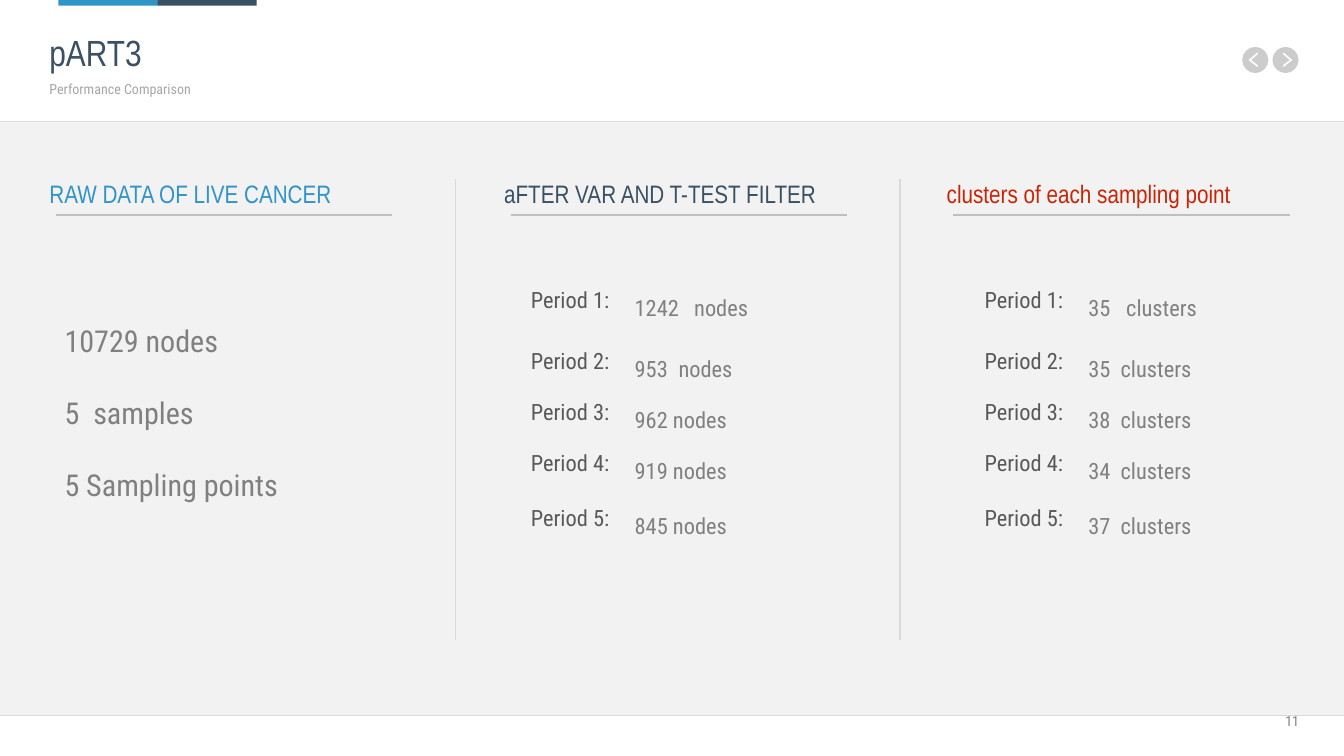
"""Build the performance comparison slide: raw data, filtered nodes and clusters per period."""
from lxml import etree
from pptx import Presentation
from pptx.dml.color import RGBColor
from pptx.enum.shapes import MSO_CONNECTOR, MSO_SHAPE
from pptx.enum.text import MSO_ANCHOR, PP_ALIGN
from pptx.oxml.ns import qn
from pptx.util import Pt

PX = 9144
W, H = 2666, 1500
RECT = MSO_SHAPE.RECTANGLE
STRAIGHT = MSO_CONNECTOR.STRAIGHT
TOP, MIDDLE = MSO_ANCHOR.TOP, MSO_ANCHOR.MIDDLE
LEFT, RIGHT = PP_ALIGN.LEFT, PP_ALIGN.RIGHT
HEAD, BODY = "Arial Narrow", "Roboto Condensed"
C = {
    "paper": "F2F2F2", "white": "FFFFFF", "blue": "3194C6", "navy": "3A5063",
    "red": "C82506", "black": "000000", "label": "595959", "value": "808080",
    "muted": "A6A6A6", "underline": "BFBFBF", "divider": "D9D9D9",
}


def add_text(box, text, size, color, font=BODY, inset=13, spacing=None, before=0,
             tab=None, align=LEFT, anchor=TOP):
    tf = s.shapes.add_textbox(*(v * PX for v in box)).text_frame
    tf.word_wrap = True
    tf.vertical_anchor = anchor
    tf.margin_left = tf.margin_top = tf.margin_right = tf.margin_bottom = inset * PX
    p = tf.paragraphs[0]
    p.text = text
    p.alignment = align
    p.space_before = Pt(before)
    if spacing:
        p.line_spacing = spacing
    if tab:
        tabs = etree.SubElement(p._p.get_or_add_pPr(), qn("a:tabLst"))
        etree.SubElement(tabs, qn("a:tab"), pos=str(tab * PX), algn="l")
    f = p.runs[0].font
    f.name, f.size = font, Pt(size)
    f.color.rgb = RGBColor.from_string(C[color])


def add_line(x1, y1, x2, y2, color, width):
    ln = s.shapes.add_connector(STRAIGHT, x1 * PX, y1 * PX, x2 * PX, y2 * PX)
    ln.line.color.rgb = RGBColor.from_string(C[color])
    ln.line.width = Pt(width)
    etree.SubElement(ln._element.spPr, qn("a:effectLst"))


prs = Presentation()
prs.slide_width, prs.slide_height = W * PX, H * PX
s = prs.slides.add_slide(prs.slide_layouts[6])
s.background.fill.solid()
s.background.fill.fore_color.rgb = RGBColor.from_string(C["paper"])

for x, y, w, h, color in [(0, 0, W, 243, "white"), (0, 1419, W, 81, "white"),
                          (116, 0, 197, 11, "blue"), (312, 0, 197, 11, "navy")]:
    sp = s.shapes.add_shape(RECT, x * PX, y * PX, w * PX, h * PX)
    sp.shadow.inherit = False
    sp.fill.solid()
    sp.fill.fore_color.rgb = RGBColor.from_string(C[color])
    sp.line.fill.background()

for y in (241, 1419):
    add_line(0, y, W, y, "divider", 0.25)

CHEVRON = [(-5, -16), (-5, -11), (8, 0), (-5, 10), (-5, 15), (14, 0)]
CIRCLE = [(0, -26), (14, -26), (26, -14), (26, 0), (26, 14), (14, 26), (0, 26),
          (-14, 26), (-26, 14), (-26, 0), (-26, -14), (-14, -26), (0, -26)]
for cx, cy, side in [(2550, 119, 1), (2490, 119, -1)]:
    arrow, ring = ([((cx + side * x) * PX, (cy + y) * PX) for x, y in pts]
                   for pts in (CHEVRON, CIRCLE))
    fb = s.shapes.build_freeform(*arrow[0])
    fb.add_line_segments(arrow[1:])
    fb.move_to(*ring[0])
    fb.add_line_segments(ring[1:])
    sp = fb.convert_to_shape()
    steps = list(sp._element.iter(qn("a:lnTo")))[-12:]
    for i in range(0, 12, 3):
        curve = etree.Element(qn("a:cubicBezTo"))
        steps[i].addprevious(curve)
        for step in steps[i:i + 3]:
            curve.append(step[0])
            step.getparent().remove(step)
    sp.shadow.inherit = False
    sp.fill.solid()
    sp.fill.fore_color.rgb = RGBColor.from_string(C["black"])
    clr = sp._element.spPr.find(qn("a:solidFill")).find(qn("a:srgbClr"))
    etree.SubElement(clr, qn("a:alpha"), val="20000")
    sp.line.fill.background()

add_text((85, 46, 1730, 125), "pART3", 52, "navy", HEAD)
add_text((85, 146, 1724, 68), "Performance Comparison", 20, "muted", before=5)

for x, h, heading, color in [(85, 69, "RAW DATA OF LIVE CANCER", "blue"),
                             (987, 111, "aFTER VAR AND T-TEST FILTER", "navy"),
                             (1865, 111, "clusters of each sampling point", "red")]:
    add_text((x, 357, 693, h), heading, 36, color, HEAD, spacing=0.7)
    add_line(x + 26, 427, x + 693, 427, "underline", 2)

for x in (903, 1785):
    add_line(x, 356, x, 1269, "divider", 2)

for i, (fact, w, tab) in enumerate([("10729 nodes", 409, None), ("5\tsamples", 409, 57),
                                    ("5 Sampling points", 606, None)]):
    add_text((128, 611 + 143 * i, w, 100), fact, 43, "value", inset=0, spacing=1.4, tab=tab)

ROWS = [555, 676, 777, 878, 987]
COLUMNS = [
    (1040, 589, [("1242\tnodes", 118), ("953\tnodes", 87), ("962 nodes", None),
                 ("919 nodes", None), ("845 nodes", None)]),
    (1940, 520, [("35\tclusters", 75), ("35\tclusters", 64), ("38\tclusters", 64),
                 ("34\tclusters", 64), ("37\tclusters", 64)]),
]
for x, w, values in COLUMNS:
    for n, (y, (value, tab)) in enumerate(zip(ROWS, values), 1):
        add_text((x, y, 589, 80), f"Period {n}:", 32, "label", before=7)
        add_text((x + 206, y + 5, w, 144), value, 32, "value", spacing=1.2, before=5, tab=tab)

add_text((2467, 1413, 110, 36), "11", 20, "value", inset=0, align=RIGHT, anchor=MIDDLE)

prs.save("out.pptx")
